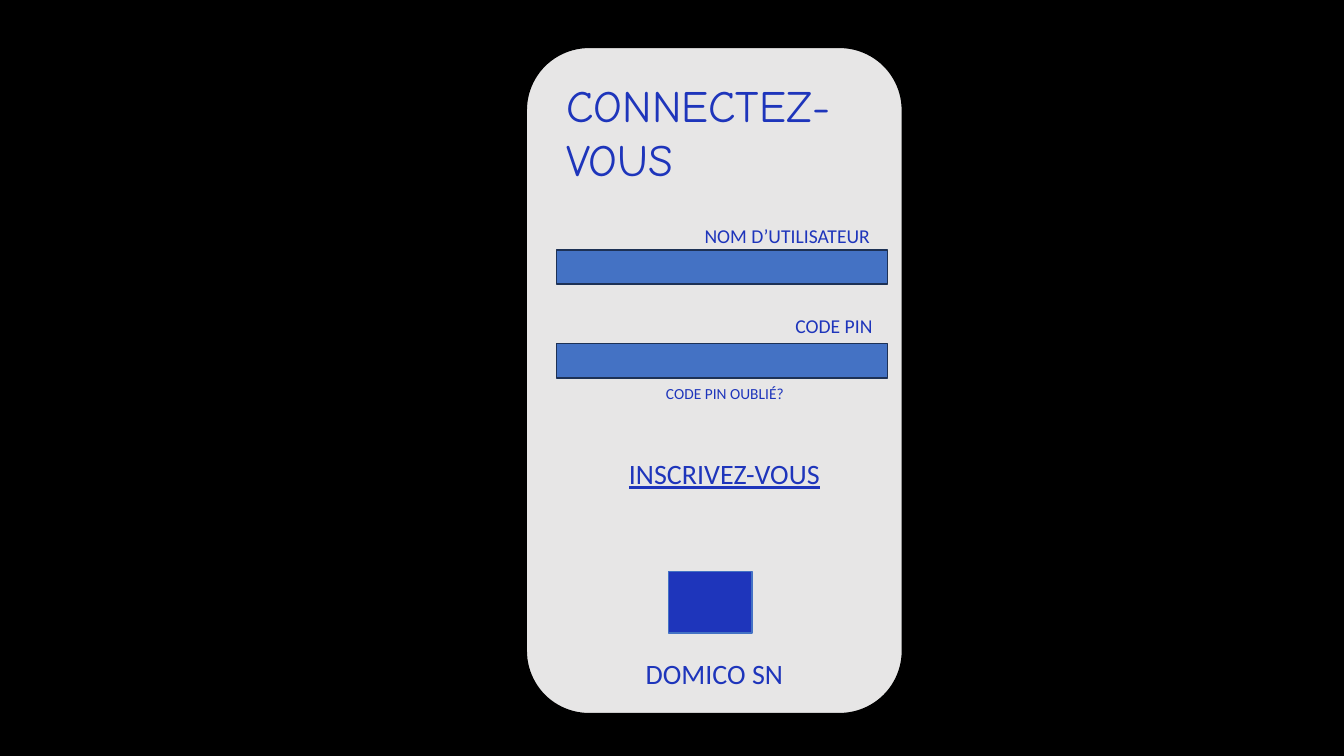
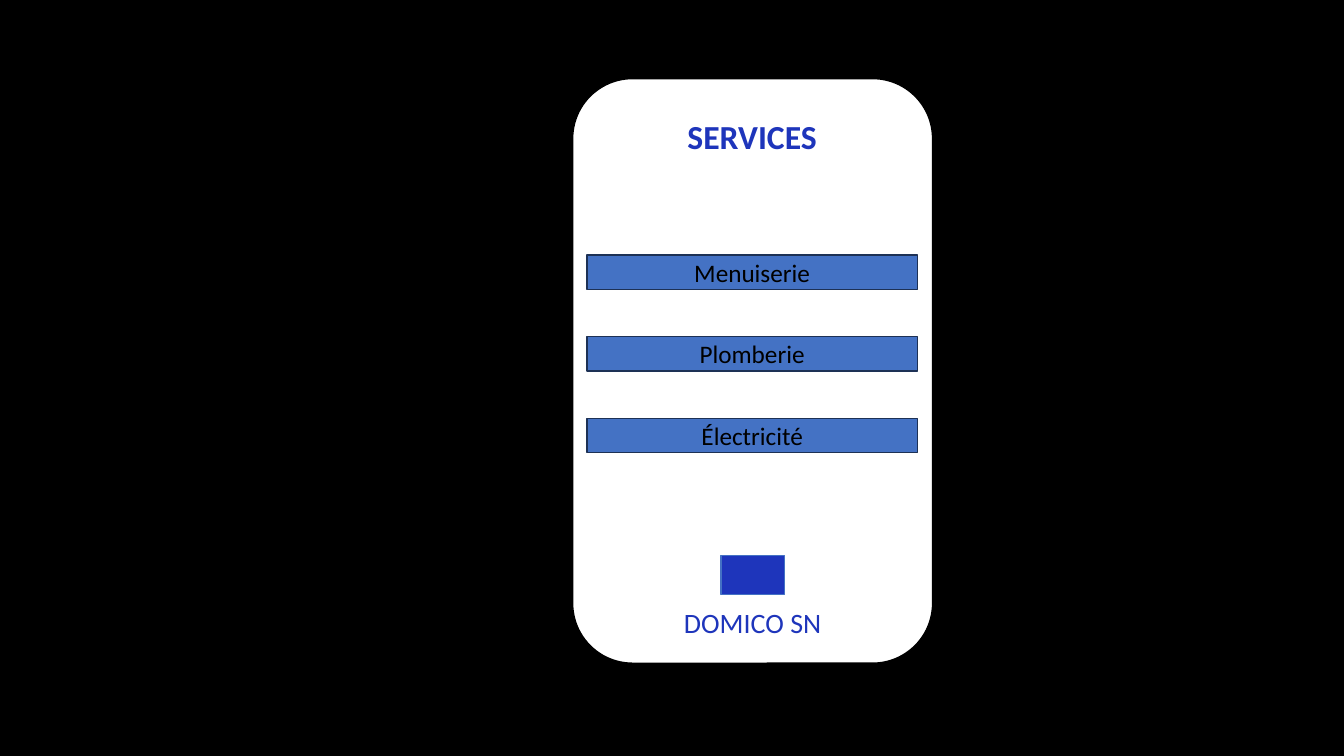
"""Build the sign-in and services screens of a handyman app."""
import pptx
import pptx.dml.color
import pptx.enum.shapes
import pptx.enum.text
import pptx.util

Inches = pptx.util.Inches
SHAPE = pptx.enum.shapes.MSO_SHAPE
ALIGN = pptx.enum.text.PP_ALIGN
ANCHOR = pptx.enum.text.MSO_ANCHOR

COLORS = {
    "backdrop": "000000",
    "ink": "1E35BB",
    "bar": "4472C4",
    "bar_line": "1D3155",
    "grey": "E7E6E6",
    "white": "FFFFFF",
    "black": "000000",
}
BODY_FONT = "Calibri"
TITLE_FONT = "Comic Neue"
APP_NAME = "DOMICO SN"
BAR_W, BAR_H = 3.28, 0.34


def rgb(name):
    return pptx.dml.color.RGBColor.from_string(COLORS[name])


def write(sp, text, size, color="ink", font=BODY_FONT, align=ALIGN.CENTER, **formats):
    tf = sp.text_frame
    tf.word_wrap = True
    p = tf.paragraphs[0]
    p.alignment = align
    r = p.add_run()
    r.text = text
    r.font.color.rgb = rgb(color)
    formats.update(name=font, size=pptx.util.Pt(size))
    for key, value in formats.items():
        setattr(r.font, key, value)


def add_label(s, box, text, size, **formats):
    sp = s.shapes.add_textbox(*map(Inches, box))
    write(sp, text, size, **formats)


def add_figure(s, kind, box, fill, line):
    sp = s.shapes.add_shape(kind, *map(Inches, box))
    sp.shadow.inherit = False
    sp.fill.solid()
    sp.fill.fore_color.rgb = rgb(fill)
    sp.line.color.rgb = rgb(line)
    sp.line.width = pptx.util.Pt(1)
    return sp


def add_bar(s, left, top, text=None):
    sp = add_figure(s, SHAPE.RECTANGLE, (left, top, BAR_W, BAR_H), "bar", "bar_line")
    if text:
        sp.text_frame.vertical_anchor = ANCHOR.MIDDLE
        write(sp, text, 18, color="black")


def add_footer(s, block_box, name_box):
    add_figure(s, SHAPE.RECTANGLE, block_box, "ink", "bar")
    add_label(s, name_box, APP_NAME, 20)


def add_screen(prs, box, fill):
    s = prs.slides.add_slide(prs.slide_layouts[6])
    s.background.fill.solid()
    s.background.fill.fore_color.rgb = rgb("backdrop")
    add_figure(s, SHAPE.ROUNDED_RECTANGLE, box, fill, "black")
    return s


def build_sign_in(prs):
    s = add_screen(prs, (5.22, 0.47, 3.73, 6.61), "grey")
    add_label(s, (5.52, 0.72, 3.14, 1.16), "CONNECTEZ-VOUS", 32,
              font=TITLE_FONT, align=ALIGN.LEFT)
    fields = [("NOM D’UTILISATEUR", 6.89, 2.17, 2.48), ("CODE PIN", 7.79, 3.07, 3.41)]
    for text, left, top, bar_top in fields:
        add_label(s, (left, top, 3.14, 0.33), text, 14, align=ALIGN.LEFT)
        add_bar(s, 5.52, bar_top)
    add_label(s, (5.62, 3.76, 3.14, 0.28), "CODE PIN OUBLIÉ?", 11)
    add_label(s, (5.91, 4.48, 2.55, 0.43), "INSCRIVEZ-VOUS", 20, underline=True)
    add_footer(s, (6.63, 5.67, 0.83, 0.61), (5.71, 6.46, 2.75, 0.43))


def build_services(prs):
    s = add_screen(prs, (5.68, 0.78, 3.57, 5.8), "white")
    add_label(s, (6.06, 1.1, 2.8, 0.5), "SERVICES", 24, bold=True)
    for i, service in enumerate(["Menuiserie", "Plomberie", "Électricité"]):
        add_bar(s, 5.82, 2.53 + 0.81 * i, service)
    add_footer(s, (7.15, 5.51, 0.63, 0.39), (6.28, 5.96, 2.37, 0.43))


def main():
    prs = pptx.Presentation()
    prs.slide_width, prs.slide_height = Inches(13.33), Inches(7.5)
    build_sign_in(prs)
    build_services(prs)
    prs.save("out.pptx")


if __name__ == "__main__":
    main()
